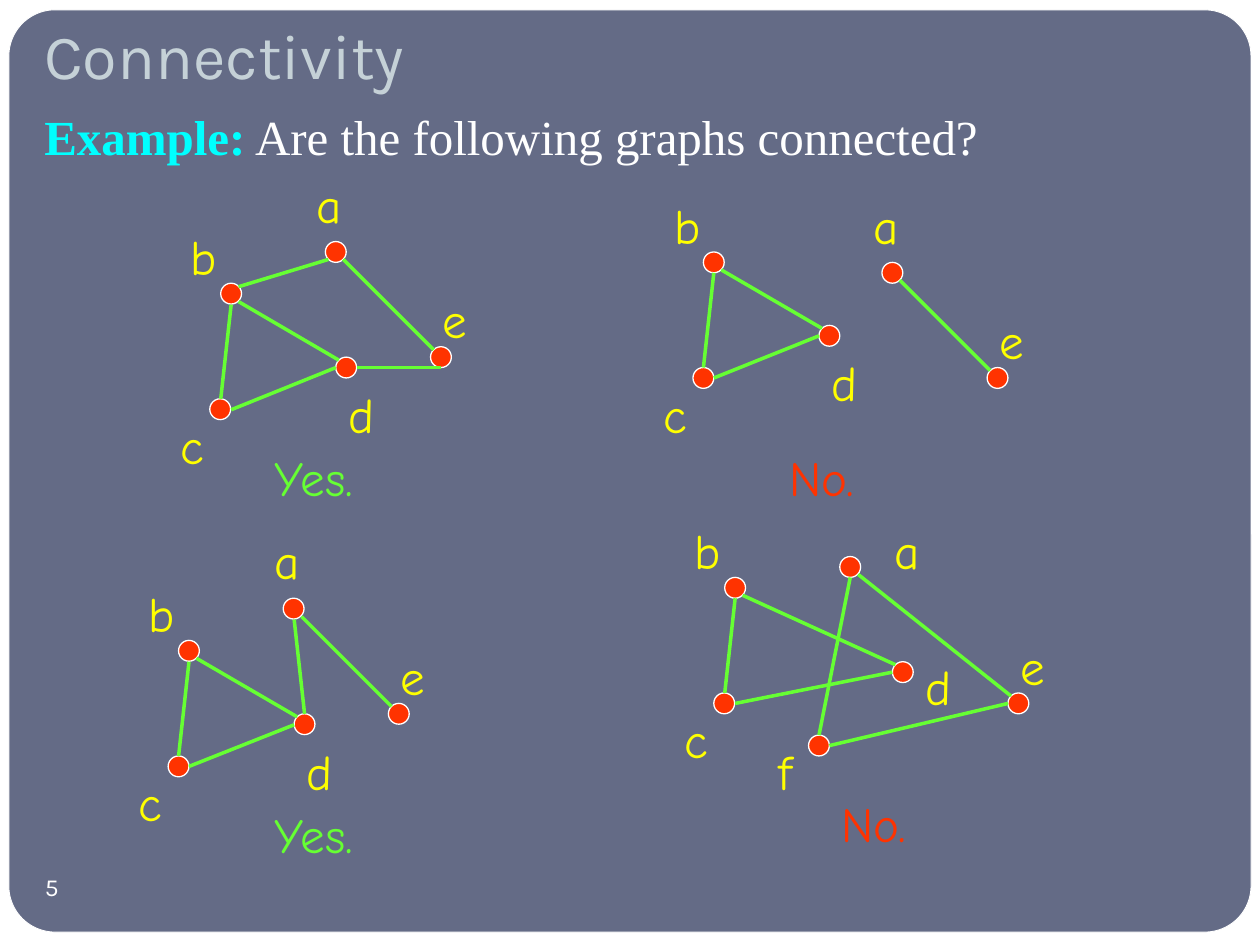
"""Build the connectivity slide: four small graphs and their answers."""
from lxml import etree
from pptx import Presentation
from pptx import util as u
from pptx.dml.color import RGBColor
from pptx.enum import shapes, text
from pptx.oxml import ns

INK = {"white": "FFFFFF", "slate": "646B86", "title": "C5D1D7", "cyan": "00FFFF",
       "red": "FF3300", "green": "66FF33", "yellow": "FFFF00"}
STEP = 2.54 / 12
SIDE = {"N": (0, -1), "S": (0, 1), "E": (1, 0), "W": (-1, 0),
        "NE": (0.71, -0.71), "NW": (-0.71, -0.71),
        "SE": (0.71, 0.71), "SW": (-0.71, 0.71)}
WIDE = {"b": 4, "c": 5, "f": 5}
BASE = ["d W c E", "c N b S", "a SE e NW", "b SE d NW"]
GRAPHS = [
    ({"d": (33, 35, 32, 36), "c": (21, 39, 16, 39), "b": (22, 28, 17, 21),
      "e": (42, 34, 41, 27), "a": (32, 24, 29, 16)},
     ["d E e S", "b NE a SW"], ("Yes.", "green", 25, 42)),
    ({"d": (79, 32, 78, 33), "c": (67, 36, 62, 36), "b": (68, 25, 63, 18),
      "e": (95, 36, 94, 29), "a": (85, 26, 82, 18)},
     [], ("No.", "red", 74, 42)),
    ({"d": (29, 69, 28, 70), "c": (17, 73, 12, 73), "b": (18, 62, 13, 55),
      "e": (38, 68, 37, 61), "a": (28, 58, 25, 50)},
     ["d N a S"], ("Yes.", "green", 25, 76)),
    ({"d": (86, 64, 87, 62), "c": (69, 67, 64, 67), "b": (70, 56, 65, 49),
      "e": (97, 67, 96, 60), "a": (81, 54, 84, 49), "f": (78, 71, 73, 70)},
     ["f N a S", "f E e W"], ("No.", "red", 79, 75)),
]


def color(name):
    return RGBColor.from_string(INK[name])


def grid(*nums):
    return [u.Cm(round(n * STEP, 2)) for n in nums]


class Deck:
    """Holds the style and the current slide."""

    def __init__(self):
        self.prs = Presentation()
        self.prs.slide_width, self.prs.slide_height = u.Cm(25.4), u.Cm(19.05)
        self.slide = self.prs.slides.add_slide(self.prs.slide_layouts[1])

    def style(self, font, size, ink, face):
        font.size, font.name = u.Pt(size), face
        font.color.rgb = color(ink)

    def place(self, shape, left, top, width, height):
        shape.left, shape.top = u.Cm(left), u.Cm(top)
        shape.width, shape.height = u.Cm(width), u.Cm(height)

    def panel(self):
        fill = self.slide.background.fill
        fill.solid()
        fill.fore_color.rgb = color("white")
        card = self.shape(self.slide.shapes, shapes.MSO_SHAPE.ROUNDED_RECTANGLE,
                          (u.Cm(0.18), u.Cm(0.2), u.Cm(25.04), u.Cm(18.59)), "slate", 0.5)
        card.adjustments[0] = 0.05
        self.slide.shapes._spTree.insert(2, card._element)

    def title(self, words):
        head = self.slide.shapes.title
        self.place(head, 0.64, 0, 23.93, 2.11)
        frame = head.text_frame
        frame.text = words
        frame.vertical_anchor = text.MSO_ANCHOR.BOTTOM
        frame.margin_bottom = u.Cm(0.25)
        frame.auto_size = text.MSO_AUTO_SIZE.NONE
        para = frame.paragraphs[0]
        para.alignment = text.PP_ALIGN.LEFT
        self.style(para.font, 36, "title", "Karla")

    def body(self, lead, rest):
        box = self.slide.placeholders[1]
        self.place(box, 0.64, 1.91, 24.33, 1.47)
        frame = box.text_frame
        frame.margin_top = u.Cm(0.23)
        frame.auto_size = text.MSO_AUTO_SIZE.NONE
        para = frame.paragraphs[0]
        props = para._p.get_or_add_pPr()
        props.set("marL", "0")
        props.set("indent", "0")
        etree.SubElement(props, ns.qn("a:buNone"))
        para.space_before = u.Pt(0)
        for words, ink, bold in ((lead, "cyan", True), (rest, "white", False)):
            run = para.add_run()
            run.text = words
            run.font.bold = bold
            self.style(run.font, 28, ink, "Times New Roman")

    def shape(self, home, kind, area, ink, width):
        item = home.add_shape(kind, *area)
        item.shadow.inherit = False
        item.fill.solid()
        item.fill.fore_color.rgb = color(ink)
        item.line.color.rgb = color("white")
        item.line.width = u.Pt(width)
        return item

    def label(self, home, words, ink, *area):
        box = home.add_textbox(*grid(*area))
        box.text_frame.word_wrap = True
        para = box.text_frame.paragraphs[0]
        para.text = words
        self.style(para.font, 28, ink, "Comic Neue")

    def edge(self, home, nodes, link):
        one, out, two, into = link.split()
        ends = [nodes[key][i] + SIDE[side][i]
                for key, side in ((one, out), (two, into)) for i in (0, 1)]
        line = home.add_connector(shapes.MSO_CONNECTOR.STRAIGHT, *grid(*ends))
        line.line.color.rgb = color("green")
        line.line.width = u.Pt(2)
        etree.SubElement(line._element.spPr, ns.qn("a:effectLst"))

    def graph(self, nodes, links, answer):
        home = self.slide.shapes.add_group_shape().shapes
        for key, (x, y, left, top) in nodes.items():
            self.shape(home, shapes.MSO_SHAPE.FLOWCHART_CONNECTOR,
                       grid(x - 1, y - 1, 2, 2), "red", 0.75)
            self.label(home, key, "yellow", left, top, WIDE.get(key, 8), 6.8)
        for link in BASE + links:
            self.edge(home, nodes, link)
        self.label(self.slide.shapes, *answer, 12, 7)

    def number(self, words):
        disc = self.slide.shapes.add_shape(shapes.MSO_SHAPE.OVAL, u.Cm(0.41), u.Cm(17.25),
                                           u.Cm(1.27), u.Cm(1.27))
        disc.shadow.inherit = False
        disc.fill.background()
        disc.line.fill.background()
        frame = disc.text_frame
        frame.margin_left = frame.margin_right = frame.margin_top = frame.margin_bottom = 0
        frame.word_wrap = False
        para = frame.paragraphs[0]
        para.text = words
        para.alignment = text.PP_ALIGN.CENTER
        self.style(para.font, 14, "white", "Karla")


def main():
    deck = Deck()
    deck.panel()
    deck.title("Connectivity")
    deck.body("Example:", " Are the following graphs connected?")
    for parts in GRAPHS:
        deck.graph(*parts)
    deck.number("5")
    deck.prs.save("out.pptx")


if __name__ == "__main__":
    main()
